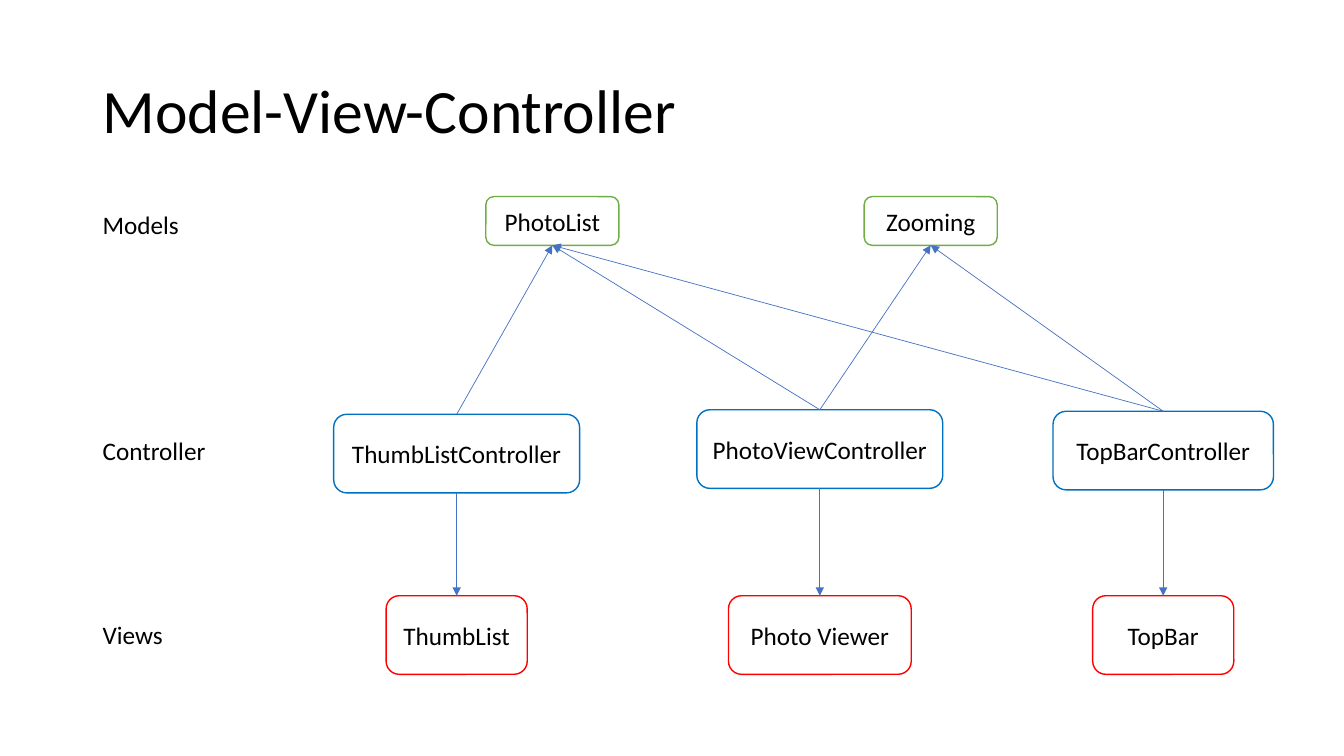
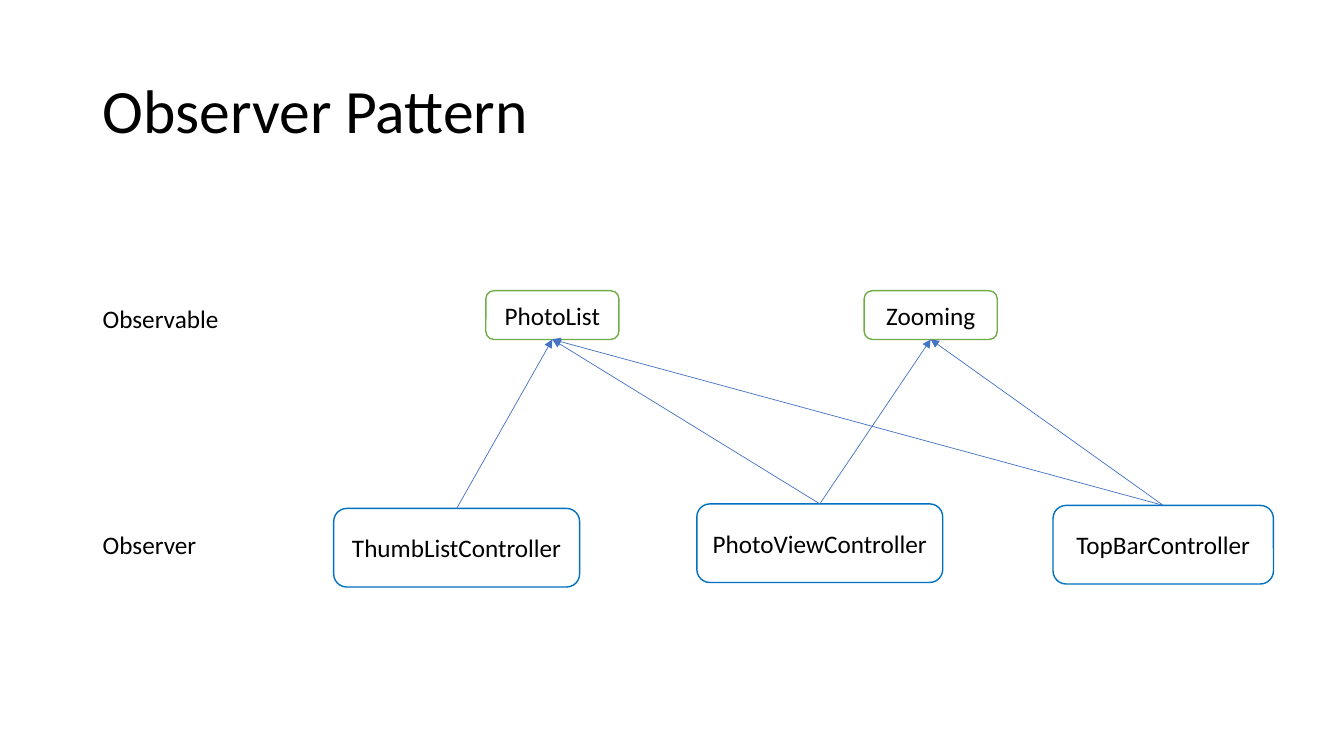
from dataclasses import dataclass

from lxml.etree import SubElement
from pptx import Presentation
from pptx.dml.color import RGBColor
from pptx.enum.shapes import MSO_CONNECTOR, MSO_SHAPE
from pptx.enum.text import MSO_ANCHOR, MSO_AUTO_SIZE, PP_ALIGN
from pptx.oxml.ns import qn
from pptx.shapes.autoshape import Shape
from pptx.slide import Slide
from pptx.text.text import TextFrame
from pptx.util import Inches, Length, Pt

SLIDE_WIDTH = Inches(13.33)
SLIDE_HEIGHT = Inches(7.5)
FONT = "Calibri"
COLORS = {
    "text": "000000",
    "paper": "FFFFFF",
    "model": "70AD47",
    "controller": "0070C0",
    "view": "FF0000",
    "arrow": "4472C4",
}
TOP_SITE, BOTTOM_SITE = 0, 2
LABEL_LEFT = 6.9
LABEL_HEIGHT = 5.3
OBSERVER_SHIFT = 12.45


@dataclass(frozen=True)
class Component:
    """A rounded box; its lengths are percentages of the slide's size."""
    name: str
    role: str
    center: float
    top: float
    width: float
    height: float = 10.4


@dataclass(frozen=True)
class RowLabel:
    text: str
    top: float
    width: float


@dataclass(frozen=True)
class Diagram:
    title: str
    labels: tuple[RowLabel, ...]
    components: tuple[Component, ...]
    shift: float = 0


THUMB_CENTER, PHOTO_CENTER, BAR_CENTER = 33.98, 61, 86.55
MODELS_TOP, CONTROLLERS_TOP, VIEWS_TOP = 27.07, 56.93, 81.33

MODELS = (
    Component("PhotoList", "model", 41.1, 26, 9.9, 6.45),
    Component("Zooming", "model", 69.25, 26, 9.9, 6.45),
)
CONTROLLERS = (
    Component("ThumbListController", "controller", THUMB_CENTER, 54.8, 18.3),
    Component("PhotoViewController", "controller", PHOTO_CENTER, 54.2, 18.3),
    Component("TopBarController", "controller", BAR_CENTER, 54.4, 16.4),
)
VIEWS = (
    Component("ThumbList", "view", THUMB_CENTER, 78.8, 10.5),
    Component("Photo Viewer", "view", PHOTO_CENTER, 78.8, 13.6),
    Component("TopBar", "view", BAR_CENTER, 78.8, 10.5),
)
OBSERVATIONS = (
    ("ThumbListController", "PhotoList"),
    ("PhotoViewController", "PhotoList"),
    ("TopBarController", "PhotoList"),
    ("PhotoViewController", "Zooming"),
    ("TopBarController", "Zooming"),
)
DIAGRAMS = (
    Diagram(
        "Model-View-Controller",
        (
            RowLabel("Models", MODELS_TOP, 7.3),
            RowLabel("Controller", CONTROLLERS_TOP, 9.2),
            RowLabel("Views", VIEWS_TOP, 6.1),
        ),
        MODELS + CONTROLLERS + VIEWS,
    ),
    Diagram(
        "Observer Pattern",
        (
            RowLabel("Observable", MODELS_TOP, 10.2),
            RowLabel("Observer", CONTROLLERS_TOP, 8.55),
        ),
        MODELS + CONTROLLERS,
        OBSERVER_SHIFT,
    ),
)


def across(percent: float) -> Length:
    return Length(round(SLIDE_WIDTH * percent / 100))


def down(percent: float) -> Length:
    return Length(round(SLIDE_HEIGHT * percent / 100))


def color(name: str) -> RGBColor:
    return RGBColor.from_string(COLORS[name])


def write(frame: TextFrame, text: str, size: float = 18,
          align: PP_ALIGN = PP_ALIGN.LEFT, spacing: float = 1.0) -> None:
    paragraph = frame.paragraphs[0]
    paragraph.text = text
    paragraph.alignment = align
    paragraph.line_spacing = spacing
    paragraph.font.name = FONT
    paragraph.font.size = Pt(size)
    paragraph.font.color.rgb = color("text")


def add_title(slide: Slide, title: str) -> None:
    frame = slide.shapes.add_textbox(
        across(6.9), down(5.33), across(86.25), down(19.33)).text_frame
    frame.word_wrap = True
    frame.vertical_anchor = MSO_ANCHOR.MIDDLE
    write(frame, title, size=44, spacing=0.9)


def add_label(slide: Slide, label: RowLabel, shift: float) -> None:
    frame = slide.shapes.add_textbox(
        across(LABEL_LEFT), down(label.top + shift),
        across(label.width), down(LABEL_HEIGHT)).text_frame
    frame.word_wrap = False
    frame.auto_size = MSO_AUTO_SIZE.SHAPE_TO_FIT_TEXT
    write(frame, label.text)


def add_component(slide: Slide, component: Component, shift: float) -> Shape:
    box = slide.shapes.add_shape(
        MSO_SHAPE.ROUNDED_RECTANGLE,
        across(component.center - component.width / 2),
        down(component.top + shift),
        across(component.width), down(component.height))
    box.shadow.inherit = False
    box.fill.solid()
    box.fill.fore_color.rgb = color("paper")
    box.line.color.rgb = color(component.role)
    box.line.width = Pt(1)
    box.text_frame.vertical_anchor = MSO_ANCHOR.MIDDLE
    write(box.text_frame, component.name, align=PP_ALIGN.CENTER)
    return box


def add_arrow(slide: Slide, source: Shape, source_site: int,
              target: Shape, target_site: int) -> None:
    arrow = slide.shapes.add_connector(MSO_CONNECTOR.STRAIGHT, 0, 0, 0, 0)
    arrow.begin_connect(source, source_site)
    arrow.end_connect(target, target_site)
    arrow.line.color.rgb = color("arrow")
    arrow.line.width = Pt(0.5)
    SubElement(arrow.line._get_or_add_ln(), qn("a:tailEnd"), type="triangle")
    SubElement(arrow._element.spPr, qn("a:effectLst"))


def add_diagram(slide: Slide, diagram: Diagram) -> None:
    add_title(slide, diagram.title)
    for label in diagram.labels:
        add_label(slide, label, diagram.shift)
    boxes = {
        component.name: add_component(slide, component, diagram.shift)
        for component in diagram.components
    }
    for controller, model in OBSERVATIONS:
        add_arrow(slide, boxes[controller], TOP_SITE, boxes[model], BOTTOM_SITE)
    for controller, view in zip(CONTROLLERS, VIEWS):
        if view.name in boxes:
            add_arrow(slide, boxes[controller.name], BOTTOM_SITE,
                      boxes[view.name], TOP_SITE)


def main() -> None:
    presentation = Presentation()
    presentation.slide_width = SLIDE_WIDTH
    presentation.slide_height = SLIDE_HEIGHT
    blank = presentation.slide_layouts[6]
    for diagram in DIAGRAMS:
        add_diagram(presentation.slides.add_slide(blank), diagram)
    presentation.save("out.pptx")


if __name__ == "__main__":
    main()
